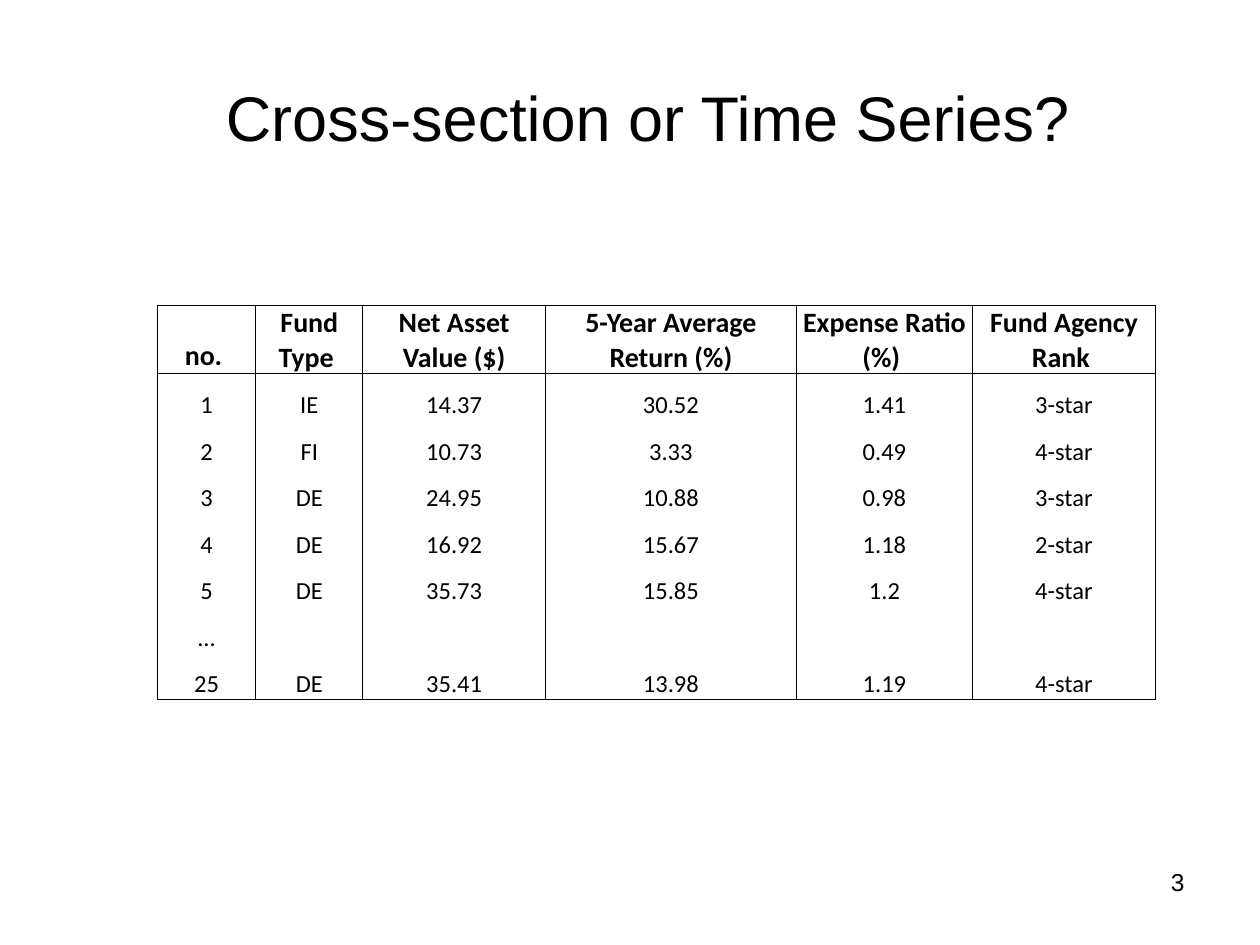
from lxml import etree
from pptx import Presentation
from pptx import util as u
from pptx.dml.color import RGBColor
from pptx.enum import text as t
from pptx.oxml.ns import qn

BLACK = "000000"
HEADINGS = ["no. ", "Fund Type ", "Net Asset Value ($)", "5-Year Average Return (%)",
            "Expense Ratio (%) ", "Fund Agency Rank "]
FUNDS = [
    ["1", "IE", "14.37", "30.52", "1.41", "3-star"],
    ["2", "FI", "10.73", "3.33", "0.49", "4-star"],
    ["3", "DE", "24.95", "10.88", "0.98", "3-star"],
    ["4", "DE", "16.92", "15.67", "1.18", "2-star"],
    ["5", "DE", "35.73", "15.85", "1.2", "4-star"],
    ["…", "", "", "", "", ""],
    ["25", "DE", "35.41", "13.98", "1.19", "4-star"],
]
COLUMN_WIDTHS = [0.78, 0.85, 1.45, 1.99, 1.4, 1.45]
HEADER_HEIGHT, ROW_HEIGHT = 0.54, 0.37


def write(frame, words, size, font="Arial", color=BLACK, bold=False, align=t.PP_ALIGN.CENTER):
    para = frame.paragraphs[0]
    para.alignment = align
    span = para.add_run()
    span.text = words
    span.font.size = u.Pt(size)
    span.font.name = font
    span.font.bold = bold
    span.font.color.rgb = RGBColor.from_string(color)


def set_border(cell, side, visible, color=BLACK):
    line = etree.SubElement(cell._tc.get_or_add_tcPr(), qn(f"a:ln{side}"), w=str(u.Pt(0.5)))
    fill = etree.SubElement(line, qn("a:solidFill" if visible else "a:noFill"))
    if visible:
        etree.SubElement(fill, qn("a:srgbClr"), val=color)


deck = Presentation()
deck.slide_width, deck.slide_height = u.Inches(10), u.Inches(7.5)
page = deck.slides.add_slide(deck.slide_layouts[5])

title = page.shapes.title
title.left, title.top, title.width, title.height = map(u.Inches, (0.5, 0.3, 9, 1.25))
title.text_frame.vertical_anchor = t.MSO_ANCHOR.MIDDLE
title.text_frame.margin_left = u.Inches(0.38)
write(title.text_frame, "Cross-section or Time Series?", 36)

number_box = page.shapes.add_textbox(*map(u.Inches, (7.17, 6.83, 2.33, 0.52)))
number_box.text_frame.word_wrap = True
write(number_box.text_frame, "3", 14, align=t.PP_ALIGN.RIGHT)

rows = [HEADINGS] + FUNDS
last = len(rows) - 1
table = page.shapes.add_table(
    len(rows), len(HEADINGS), u.Inches(1.25), u.Inches(2.42),
    u.Inches(sum(COLUMN_WIDTHS)), u.Inches(HEADER_HEIGHT + ROW_HEIGHT * last)).table
table.first_row = table.horz_banding = False
for column, width in zip(table.columns, COLUMN_WIDTHS):
    column.width = u.Inches(width)

for r, values in enumerate(rows):
    header = r == 0
    table.rows[r].height = u.Inches(HEADER_HEIGHT if header else ROW_HEIGHT)
    for c, value in enumerate(values):
        cell = table.cell(r, c)
        cell.margin_left = cell.margin_right = cell.margin_top = u.Inches(0.01)
        cell.margin_bottom = 0
        cell.vertical_anchor = t.MSO_ANCHOR.BOTTOM
        write(cell.text_frame, value, 16 if header else 14, font="Calibri", bold=header)
        for side, visible in (("L", True), ("R", True), ("T", r <= 1), ("B", r in (0, last))):
            set_border(cell, side, visible)
        cell.fill.background()

deck.save("out.pptx")
